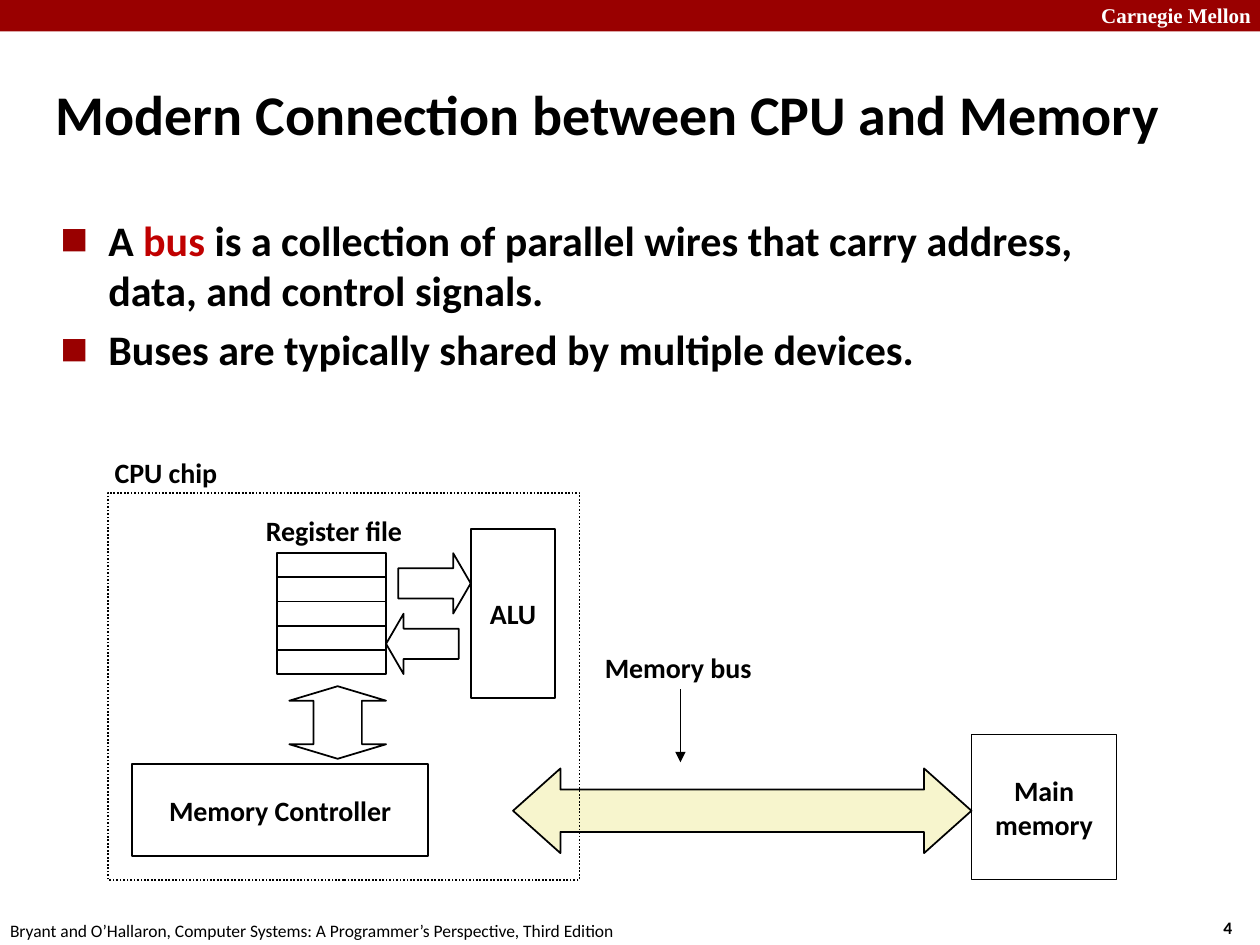
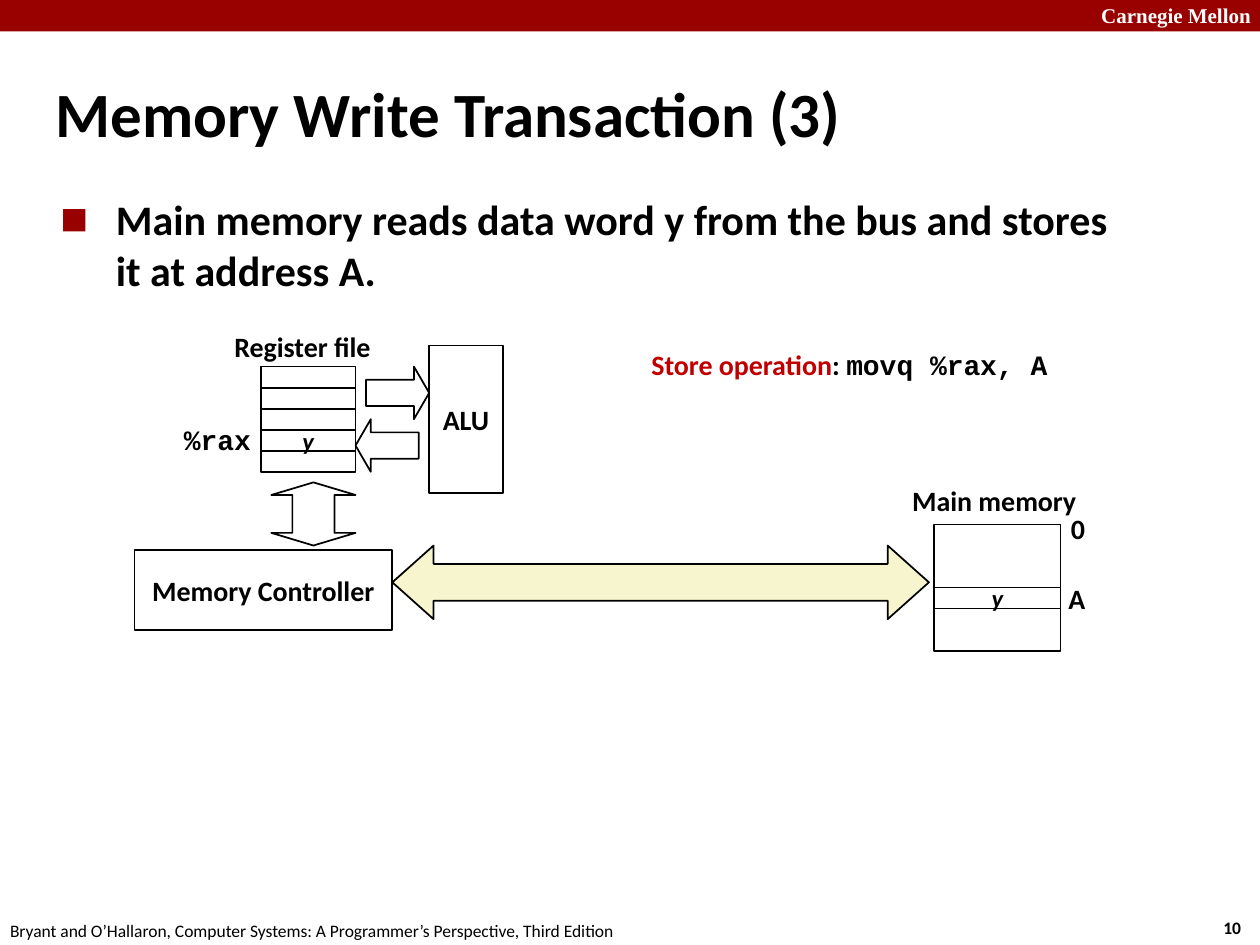
from dataclasses import dataclass
from typing import NamedTuple

from lxml import etree
from pptx import Presentation
from pptx import util as u
from pptx.dml.color import RGBColor
from pptx.enum import dml, shapes, text
from pptx.oxml.ns import qn

SHAPE = shapes.MSO_SHAPE
LEFT, CENTER = text.PP_ALIGN.LEFT, text.PP_ALIGN.CENTER
TOP, MIDDLE = text.MSO_ANCHOR.TOP, text.MSO_ANCHOR.MIDDLE


@dataclass(frozen=True)
class Theme:
    band: str = "990000"
    accent: str = "C00000"
    ink: str = "000000"
    paper: str = "FFFFFF"
    bus: str = "F7F5CD"
    sans: str = "Calibri"
    serif: str = "Times New Roman"
    mono: str = "Courier New"
    body: int = 24
    label: int = 16
    cell: int = 14
    mark: int = 12
    footer: int = 10
    bullet_percent: int = 110
    line: float = 1
    inset: float = 0.05


T = Theme()


class Box(NamedTuple):
    """Left, top, width and height in cells of a grid."""
    x: float
    y: float
    w: float
    h: float


@dataclass(frozen=True)
class Grid:
    """Square cells, counted from an origin; lengths in inches."""
    x: float
    y: float
    cell: float

    def point(self, col: float, row: float) -> tuple:
        return u.Inches(self.x + col * self.cell), u.Inches(self.y + row * self.cell)

    def place(self, b: Box) -> tuple:
        return (*self.point(b.x, b.y), u.Inches(b.w * self.cell), u.Inches(b.h * self.cell))


class Label(NamedTuple):
    x: float
    y: float
    w: float
    text: object
    font: str = T.sans


class Part(NamedTuple):
    """A piece of the diagram, in diagram cells."""
    kind: int
    box: Box
    text: str = ""
    adj: tuple = ()


PAGE = Grid(0, 0, 0.1)  # 100 columns by 75 rows

# Register file, ALU and controller: the same cells on every slide
REGISTER_ROWS = 5
CPU_PARTS = [
    *(Part(SHAPE.RECTANGLE, Box(0, 2 * i, 9, 2)) for i in range(REGISTER_ROWS)),
    Part(SHAPE.RIGHT_ARROW, Box(10, 0, 6, 5), adj=(0.5, 0.29)),
    Part(SHAPE.LEFT_ARROW, Box(9, 5, 6, 5), adj=(0.5, 0.29)),
    Part(SHAPE.RECTANGLE, Box(16, -2, 7, 14), "ALU"),
    Part(SHAPE.RECTANGLE, Box(-12, 17.45, 24.5, 7.6), "Memory Controller"),
]
# Double arrow between register file and controller
LINK_OUTLINE = [(1, 12.2), (5, 11), (9, 12.2), (7, 12.2), (7, 15.8),
                (9, 15.8), (5, 17), (1, 15.8), (3, 15.8), (3, 12.2)]


# Text
def write(tf, content, *, size=T.label, font=T.sans, color=T.ink, bold=True, italic=False,
          align=LEFT, anchor=MIDDLE, inset=T.inset, hang=0.0, before=0) -> None:
    """Content is a string or a list of paragraphs; a paragraph is a string
    or a list of (text, overrides) runs. A hang gives square bullets."""
    tf.word_wrap, tf.vertical_anchor = True, anchor
    tf.margin_left = tf.margin_right = tf.margin_top = tf.margin_bottom = u.Inches(inset)
    for i, para in enumerate([content] if isinstance(content, str) else content):
        p = tf.add_paragraph() if i else tf.paragraphs[0]
        p.alignment = align
        if i and before:
            p.space_before = u.Pt(before)
        if hang:
            add_bullet(p, hang)
        for words, changes in [(para, {})] if isinstance(para, str) else para:
            look = {"font": font, "color": color, **changes}
            r = p.add_run()
            r.text = words
            r.font.name, r.font.size = look["font"], u.Pt(size)
            r.font.bold, r.font.italic = bold, italic
            r.font.color.rgb = RGBColor.from_string(look["color"])


def add_bullet(p, hang: float) -> None:
    pPr = p._p.get_or_add_pPr()
    pPr.set("marL", str(u.Inches(hang)))
    pPr.set("indent", str(-u.Inches(hang)))
    clr = etree.SubElement(pPr, qn("a:buClr"))
    etree.SubElement(clr, qn("a:srgbClr"), val=T.band)
    etree.SubElement(pPr, qn("a:buSzPct"), val=str(T.bullet_percent * 1000))
    etree.SubElement(pPr, qn("a:buFont"), typeface=T.serif)
    etree.SubElement(pPr, qn("a:buChar"), char="■")


def add_text(s, box: Box, content, **fmt) -> None:
    write(s.shapes.add_textbox(*PAGE.place(box)).text_frame, content, **fmt)


def add_labels(s, labels: list) -> None:
    for b in labels:
        add_text(s, Box(b.x, b.y, b.w, 3.3), b.text, font=b.font)


# Shapes
def style(sp, fill=None, line=T.ink, dash=None) -> None:
    sp.shadow.inherit = False
    if fill:
        sp.fill.solid()
        sp.fill.fore_color.rgb = RGBColor.from_string(fill)
    else:
        sp.fill.background()
    if line:
        sp.line.color.rgb = RGBColor.from_string(line)
        sp.line.width = u.Pt(T.line)
        if dash:
            sp.line.dash_style = dash
    else:
        sp.line.fill.background()


def add_part(s, g: Grid, part: Part, *, fill=None, line=T.ink, dash=None, **fmt):
    sp = s.shapes.add_shape(part.kind, *g.place(part.box))
    for i, value in enumerate(part.adj):
        sp.adjustments[i] = value
    style(sp, fill, line, dash)
    if part.text:
        write(sp.text_frame, part.text, align=CENTER, inset=0, **fmt)
    return sp


def add_outline(s, g: Grid, cells: list) -> None:
    start, *rest = [g.point(*cell) for cell in cells]
    builder = s.shapes.build_freeform(*start)
    builder.add_line_segments(rest, close=True)
    style(builder.convert_to_shape())


def add_arrow(s, start: tuple, end: tuple) -> None:
    c = s.shapes.add_connector(shapes.MSO_CONNECTOR.STRAIGHT, *PAGE.point(*start), *PAGE.point(*end))
    c.line.color.rgb = RGBColor.from_string(T.ink)
    c.line.width = u.Pt(T.line)
    etree.SubElement(c.line._get_or_add_ln(), qn("a:tailEnd"), type="triangle")
    etree.SubElement(c._element.spPr, qn("a:effectLst"))


def add_bus(s, g: Grid, x: float, y: float, w: float) -> None:
    add_part(s, g, Part(SHAPE.LEFT_RIGHT_ARROW, Box(x, y, w, 7), adj=(0.5, 0.56)), fill=T.bus)


def add_cpu(s, g: Grid) -> None:
    for part in CPU_PARTS:
        add_part(s, g, part)
    add_outline(s, g, LINK_OUTLINE)


def add_value(s, g: Grid, box: Box) -> None:
    add_part(s, g, Part(SHAPE.RECTANGLE, box, "y"), size=T.cell, italic=True)


# Slide frame: band, footer, number, title and bullets
def add_slide(prs, number: int, title: str, title_size: int, bullets: list, top: float, hang: float):
    s = prs.slides.add_slide(prs.slide_layouts[6])
    add_part(s, PAGE, Part(SHAPE.RECTANGLE, Box(0, 0, 100, 2.5)), fill=T.band, line=None)
    add_text(s, Box(86.9, -0.3, 13.3, 3), "Carnegie Mellon", size=T.mark, font=T.serif,
             color=T.paper, anchor=TOP)
    add_text(s, Box(0.3, 72.5, 52, 2.5),
             "Bryant and O’Hallaron, Computer Systems: A Programmer’s Perspective, Third Edition",
             size=T.footer, bold=False, anchor=TOP)
    add_text(s, Box(96.6, 72.3, 3, 2.5), str(number), size=T.footer, anchor=TOP)
    add_text(s, Box(3.9, 4.8, 96.1, 8.3), title, size=title_size)
    add_text(s, Box(4.3, top, 86.4, 16), bullets, size=T.body, anchor=TOP, hang=hang, before=5)
    return s


def build_connection(prs) -> None:
    s = add_slide(prs, 4, "Modern Connection between CPU and Memory", 32, [
        [("A ", {}), ("bus ", {"color": T.accent}),
         ("is a collection of parallel wires that carry address, data, and control signals.", {})],
        "Buses are typically shared by multiple devices.",
    ], top=16.5, hang=0.38)
    g = Grid(2.2, 4.39, 0.096)
    memory = add_part(s, g, Part(SHAPE.RECTANGLE, Box(57.4, 15, 12, 12)))
    write(memory.text_frame, ["Main", "memory"], align=CENTER)
    add_bus(s, g, 19.5, 17.8, 37.9)
    add_cpu(s, g)
    add_part(s, g, Part(SHAPE.RECTANGLE, Box(-14, -5, 39, 32)), dash=dml.MSO_LINE.ROUND_DOT)
    add_labels(s, [
        Label(20.6, 40.4, 14, "Register file"),
        Label(8.6, 35.8, 12, "CPU chip"),
        Label(47.5, 51.3, 15, "Memory bus"),
    ])
    add_arrow(s, (54, 54.7), (54, 60.5))


def build_write(prs) -> None:
    s = add_slide(prs, 10, "Memory Write Transaction (3)", 36, [
        "Main memory reads data word y from the bus and stores it at address A.",
    ], top=14.9, hang=0.44)
    g = Grid(2.07, 2.91, 0.0835)
    add_part(s, g, Part(SHAPE.RECTANGLE, Box(64, 15, 12, 12)))
    add_bus(s, g, 12.5, 17, 51)
    add_cpu(s, g)
    add_value(s, g, Box(0, 6, 9, 2))     # register %rax
    add_value(s, g, Box(64, 21, 12, 2))  # memory word at A
    add_labels(s, [
        Label(18.1, 25.8, 14, "Register file"),
        Label(71.9, 38.1, 16, "Main memory"),
        Label(84.5, 40.3, 4, "0"),
        Label(84.3, 45.8, 4, "A"),
        Label(14.1, 33.2, 7.5, "%rax", T.mono),
        Label(51.2, 27.3, 36, [[("Store operation", {"color": T.accent}), (": ", {}),
                                ("movq %rax, A", {"font": T.mono})]]),
    ])


def main() -> None:
    prs = Presentation()
    prs.slide_width, prs.slide_height = u.Inches(10), u.Inches(7.5)
    build_connection(prs)
    build_write(prs)
    prs.save("out.pptx")


if __name__ == "__main__":
    main()
